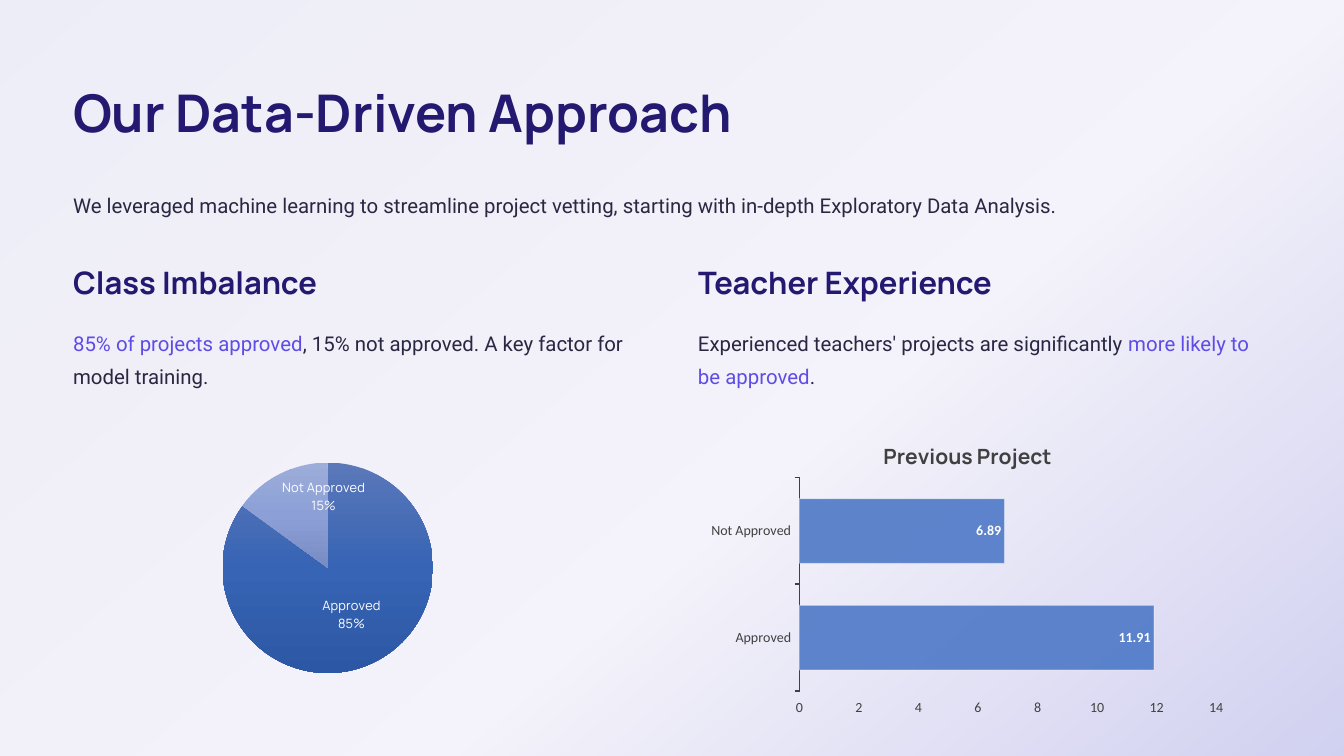
"""Build the slide on class imbalance and teacher experience in project vetting."""
from lxml import etree
from pptx import Presentation
from pptx.chart.data import CategoryChartData
from pptx.dml.color import RGBColor
from pptx.enum.chart import XL_CHART_TYPE, XL_LABEL_POSITION, XL_TICK_MARK
from pptx.enum.shapes import MSO_SHAPE
from pptx.enum.text import MSO_ANCHOR, MSO_AUTO_SIZE, PP_ALIGN
from pptx.oxml.ns import qn
from pptx.util import Inches, Pt

PIE, BAR = XL_CHART_TYPE.PIE, XL_CHART_TYPE.BAR_CLUSTERED
CENTER, INSIDE_END = XL_LABEL_POSITION.CENTER, XL_LABEL_POSITION.INSIDE_END
RECT, TOP, LEFT = MSO_SHAPE.RECTANGLE, MSO_ANCHOR.TOP, PP_ALIGN.LEFT
NO_AUTOFIT, TICK_OUT = MSO_AUTO_SIZE.NONE, XL_TICK_MARK.OUTSIDE

THEME = {
    "navy": "231971", "ink": "2A2742", "violet": "5E4CE6", "veil": "FAFAFA",
    "white": "FFFFFF", "axis": "404040", "black": "000000", "bar": "4472C4",
    "heading font": "Manrope", "body font": "Roboto", "chart font": "Calibri",
    "title": 44.5, "heading": 26.5, "body": 17.5,
    "chart title": 18, "axis label": 12, "pie label": 11, "chart": 10,
    "background": ((0, "CACAF2"), (60, "E4DDFB"), (100, "5656D6")),
    "approved": ((0, "5B78B9"), (50, "3764B4"), (100, "2C57A5")),
    "not approved": ((0, "9DADD9"), (50, "8CA0D7"), (100, "788CC3")),
}


def write(tf, *runs, size="body", font="body font", color="ink", bold=False, spacing=28.5):
    """Fill a text frame with one paragraph of (text, color) runs or plain strings."""
    tf.word_wrap = True
    tf.auto_size = NO_AUTOFIT
    tf.vertical_anchor = TOP
    tf.margin_left = tf.margin_top = tf.margin_right = tf.margin_bottom = 0
    p = tf.paragraphs[0]
    p.alignment = LEFT
    p.line_spacing = Pt(spacing)
    for run in runs:
        text, run_color = (run, color) if isinstance(run, str) else run
        r = p.add_run()
        r.text = text
        r.font.name = THEME[font]
        r.font.size = Pt(THEME[size])
        r.font.bold = bold
        r.font.color.rgb = RGBColor.from_string(THEME[run_color])


def paint(element, names, angle):
    """Give the gradient fills inside an element their stops and clockwise angle."""
    for grad, name in zip(list(element.iter(qn("a:gradFill"))), names):
        stops = grad.find(qn("a:gsLst"))
        for stop in list(stops):
            stops.remove(stop)
        for position, color in THEME[name]:
            stop = etree.SubElement(stops, qn("a:gs"), pos=str(position * 1000))
            etree.SubElement(stop, qn("a:srgbClr"), val=color)
        grad.find(qn("a:lin")).set("ang", str(angle * 60000))


prs = Presentation()
prs.slide_width, prs.slide_height = Inches(16), Inches(9)
s = prs.slides.add_slide(prs.slide_layouts[5])
s.background.fill.gradient()
paint(s.element, ["background"], 50)

veil = s.shapes.add_shape(RECT, 0, 0, prs.slide_width, prs.slide_height)
veil.shadow.inherit = False
veil.fill.solid()
veil.fill.fore_color.rgb = RGBColor.from_string(THEME["veil"])
veil.line.fill.background()
s.shapes.title.element.addprevious(veil.element)

title = s.shapes.title
title.left, title.top, title.width, title.height = map(Inches, (0.87, 0.93, 7.92, 0.78))
write(title.text_frame, "Our Data-Driven Approach", size="title", font="heading font",
      color="navy", bold=True, spacing=55.5)

intro = s.shapes.add_textbox(Inches(0.87), Inches(2.2), Inches(14.26), Inches(0.4))
write(intro.text_frame, "We leveraged machine learning to streamline project vetting, "
      "starting with in-depth Exploratory Data Analysis.")

columns = (
    (0.87, "Class Imbalance", (("85% of projects approved", "violet"),
     ", 15% not approved. A key factor for model training."), PIE, 5.72, (85, 15)),
    (8.31, "Teacher Experience", ("Experienced teachers' projects are significantly ",
     ("more likely to be approved", "violet"), "."), BAR, 6.36, (11.91, 6.89)),
)
charts = []
for left, heading, finding, kind, width, values in columns:
    sp = s.shapes.add_textbox(Inches(left), Inches(3.12), Inches(3.72), Inches(0.47))
    write(sp.text_frame, heading, size="heading", font="heading font",
          color="navy", bold=True, spacing=33)
    sp = s.shapes.add_textbox(Inches(left), Inches(3.84), Inches(6.83), Inches(0.79))
    write(sp.text_frame, *finding)
    data = CategoryChartData()
    data.categories = ["Approved", "Not Approved"]
    data.add_series("Series 1", values)
    chart = s.shapes.add_chart(kind, Inches(left), Inches(4.97), Inches(width),
                               Inches(3.58), data).chart
    chart.has_legend = chart.has_title = False
    charts.append(chart)
pie, bar = charts

slices = pie.plots[0].series[0].points
for i, position in enumerate((CENTER, INSIDE_END)):
    slices[i].format.fill.gradient()
    slices[i].format.line.fill.background()
    label = slices[i].data_label
    label.font.name = THEME["heading font"]
    label.font.size = Pt(THEME["pie label"])
    label.font.color.rgb = RGBColor.from_string(THEME["white"])
    label.position = position
paint(pie.element, ["approved", "not approved"], 90)
for tag, shown in (("c:showVal", "0"), ("c:showCatName", "1"), ("c:showPercent", "1")):
    for flag in pie.element.iter(qn(tag)):
        flag.set("val", shown)
for flag in list(pie.element.iter(qn("c:showBubbleSize"))):
    separator = etree.Element(qn("c:separator"))
    separator.text = "\n"
    flag.addnext(separator)

plot = bar.plots[0]
plot.gap_width = 65
plot.vary_by_categories = False
projects = plot.series[0]
projects.invert_if_negative = False
projects.format.fill.solid()
projects.format.fill.fore_color.rgb = RGBColor.from_string(THEME["bar"])
projects.format.line.color.rgb = RGBColor.from_string(THEME["white"])
projects.format.line.width = Pt(0.75)
translucent = [*veil.element.iter(qn("a:srgbClr")), *bar.element.iter(qn("a:srgbClr"))]
for color, opacity in zip(translucent, (75, 85, 50)):
    etree.SubElement(color, qn("a:alpha"), val=str(opacity * 1000))

labels = projects.data_labels
labels.show_value = True
labels.position = INSIDE_END
labels.font.name = THEME["chart font"]
labels.font.size = Pt(THEME["axis label"])
labels.font.bold = True
labels.font.color.rgb = RGBColor.from_string(THEME["white"])

for axis in (bar.category_axis, bar.value_axis):
    axis.has_major_gridlines = False
    axis.major_tick_mark = TICK_OUT
    axis.tick_labels.font.name = THEME["chart font"]
    axis.tick_labels.font.size = Pt(THEME["axis label"])
    axis.tick_labels.font.color.rgb = RGBColor.from_string(THEME["axis"])
bar.category_axis.format.line.color.rgb = RGBColor.from_string(THEME["axis"])
bar.category_axis.format.line.width = Pt(1.5)
bar.value_axis.format.line.fill.background()
bar.value_axis.minimum_scale, bar.value_axis.maximum_scale = 0, 14
bar.value_axis.major_unit = 2

bar.has_title = True
r = bar.chart_title.text_frame.paragraphs[0].add_run()
r.text = "Previous Project"
r.font.name = THEME["heading font"]
r.font.size = Pt(THEME["chart title"])
r.font.bold = True
r.font.color.rgb = RGBColor.from_string(THEME["axis"])

for chart in charts:
    chart.font.name = THEME["chart font"]
    chart.font.size = Pt(THEME["chart"])
    chart.font.color.rgb = RGBColor.from_string(THEME["black"])

placements = (
    (pie, "c:plotArea", (0.31, 0.15, 0.44, 0.7)),
    (bar, "c:plotArea", (0.19, 0.2, 0.78, 0.71)),
    (bar, "c:title", (0.34, 0.06)),
)
for chart, tag, box in placements:
    area = next(chart.element.iter(qn(tag)))
    layout = area.find(qn("c:layout"))
    if layout is None:
        layout = etree.Element(qn("c:layout"))
        area.insert(0, layout)
    manual = etree.SubElement(layout, qn("c:manualLayout"))
    if tag == "c:plotArea":
        etree.SubElement(manual, qn("c:layoutTarget"), val="inner")
    for mode in ("c:xMode", "c:yMode"):
        etree.SubElement(manual, qn(mode), val="edge")
    for side, share in zip("xywh", box):
        etree.SubElement(manual, qn(f"c:{side}"), val=str(share))

prs.save("out.pptx")
